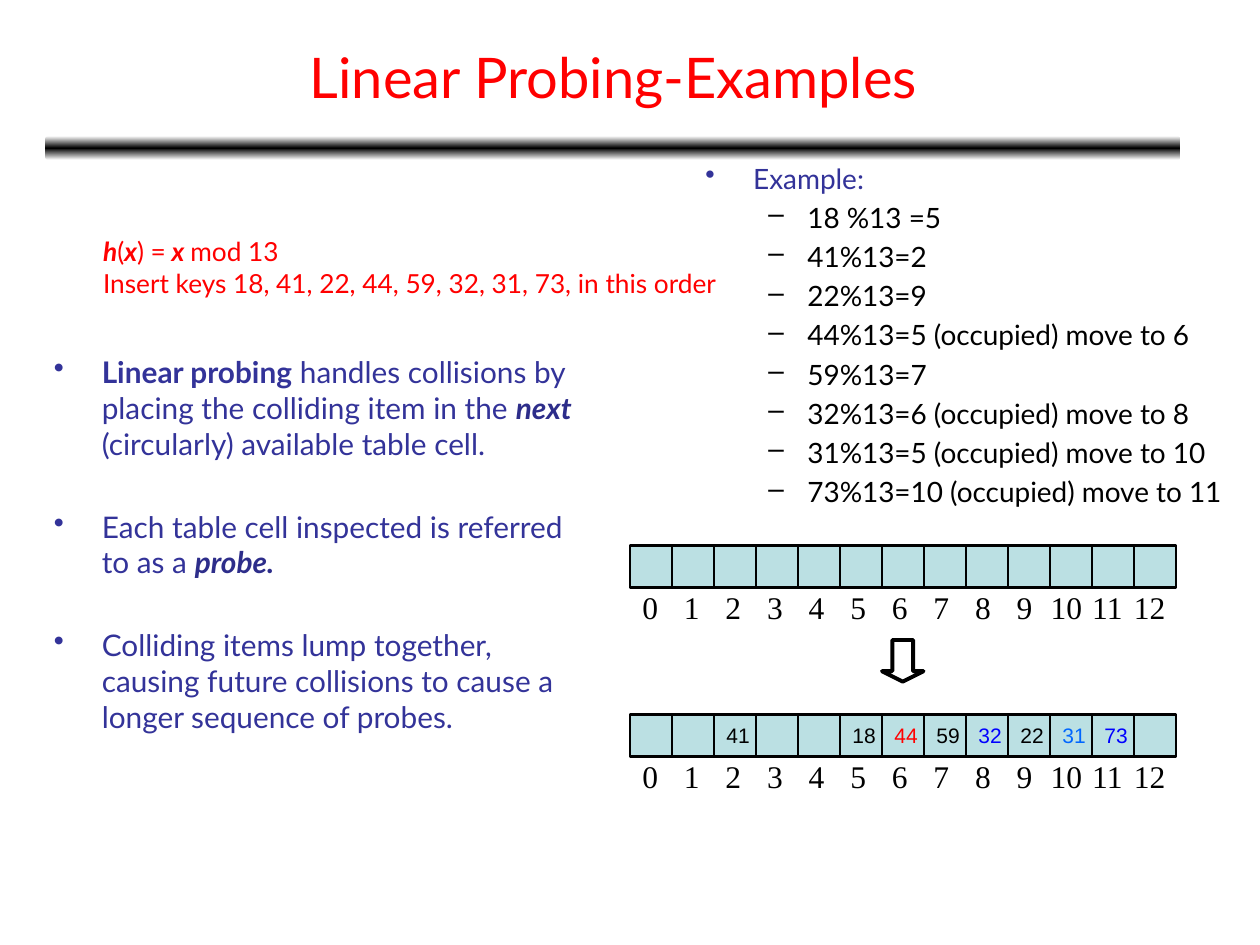
from copy import deepcopy

from lxml.etree import SubElement
from pptx import Presentation
from pptx.dml.color import RGBColor
from pptx.enum.shapes import MSO_SHAPE
from pptx.enum.text import MSO_ANCHOR, PP_ALIGN
from pptx.oxml.ns import qn
from pptx.util import Inches, Pt

RED, BLUE, DARK_BLUE, BLACK = "FF0000", "333399", "2D2D8A", "000000"
BOLD = {"bold": True}
BOLD_ITALIC = {"bold": True, "italic": True}
STRONG = {**BOLD_ITALIC, "color": DARK_BLUE}


def color_of(hex_string):
    return RGBColor.from_string(hex_string)


def add_span(para, text, font="Lato", size=16, color=BLACK, bold=False, italic=False):
    span = para.add_run()
    span.text = text
    span.font.name = font
    span.font.size = Pt(size)
    span.font.color.rgb = color_of(color)
    span.font.bold = bold
    span.font.italic = italic


def write(frame, text, first=True, align=PP_ALIGN.LEFT, before=0, level=0,
          margin=0, hanging=0, bullet=None, **style):
    """Write one paragraph; text is a string or a list of (text, style) spans."""
    para = frame.paragraphs[0] if first else frame.add_paragraph()
    para.alignment = align
    para.level = level
    para.space_before = Pt(before)
    properties = para._p.get_or_add_pPr()
    properties.set("marL", str(Inches(margin)))
    properties.set("indent", str(Inches(-hanging)))
    if bullet:
        SubElement(properties, qn("a:buChar")).set("char", bullet)
    spans = [(text, {})] if isinstance(text, str) else text
    for words, changes in spans:
        add_span(para, words, **{**style, **changes})


class ProbingSlide:
    cell_fill = "BBE0E3"
    cell_count = 13
    table_left = 5
    cell_size = 1 / 3
    label_step = 0.33

    def __init__(self, deck):
        self.page = deck.slides.add_slide(deck.slide_layouts[6])

    def text_box(self, left, top, width, height, wrap=True, anchor=MSO_ANCHOR.TOP):
        box = self.page.shapes.add_textbox(
            Inches(left), Inches(top), Inches(width), Inches(height))
        box.text_frame.word_wrap = wrap
        box.text_frame.vertical_anchor = anchor
        return box.text_frame

    def shape(self, kind, left, top, width, height, fill=None, line=None, weight=1.5):
        shape = self.page.shapes.add_shape(
            kind, Inches(left), Inches(top), Inches(width), Inches(height))
        shape.shadow.inherit = False
        if fill:
            shape.fill.solid()
            shape.fill.fore_color.rgb = color_of(fill)
        else:
            shape.fill.background()
        if line:
            shape.line.color.rgb = color_of(line)
            shape.line.width = Pt(weight)
        else:
            shape.line.fill.background()
        return shape

    def gradient_bar(self, left, top, width, height, colors):
        bar = self.shape(MSO_SHAPE.ROUNDED_RECTANGLE, left, top, width, height)
        bar.fill.gradient()
        bar.fill.gradient_angle = 90
        stop_list = bar.fill._fill._gradFill.gsLst
        stop_list.append(deepcopy(stop_list[-1]))
        for index, (stop, color) in enumerate(zip(bar.fill.gradient_stops, colors)):
            stop.position = index / (len(colors) - 1)
            stop.color.rgb = color_of(color)

    def hash_table(self, top, label_top, entries):
        for index in range(self.cell_count):
            cell = self.shape(
                MSO_SHAPE.RECTANGLE, self.table_left + index * self.cell_size, top,
                self.cell_size, self.cell_size, self.cell_fill, BLACK)
            if index in entries:
                key, color = entries[index]
                cell.text_frame.word_wrap = False
                cell.text_frame.vertical_anchor = MSO_ANCHOR.MIDDLE
                write(cell.text_frame, key, font="Arial", size=12, color=color)
        for index in range(self.cell_count):
            width = 0.33 if index < 10 else 0.45
            left = self.table_left + index * self.label_step + (0.33 - width) / 2
            frame = self.text_box(left, label_top, width, 0.4, wrap=False)
            write(frame, str(index), font="Times New Roman", size=18)


def main():
    deck = Presentation()
    deck.slide_width, deck.slide_height = Inches(10), Inches(7.5)
    slide = ProbingSlide(deck)

    # Title and rule
    slide.gradient_bar(0.36, 1.08, 9.01, 0.19, ["FFFFFF", BLACK, "FFFFFF"])
    title = slide.text_box(0.37, 0.11, 9, 0.99, anchor=MSO_ANCHOR.MIDDLE)
    write(title, "Linear Probing-Examples", align=PP_ALIGN.CENTER, size=32, color=RED)

    # Explanation
    points = [
        [("Linear probing", BOLD),
         (" handles collisions by placing the colliding item in the ", {}),
         ("next", STRONG), (" (circularly) available table cell.", {})],
        [("Each table cell inspected is referred to as a ", {}), ("probe.", STRONG)],
        "Colliding items lump together, causing future collisions to cause a "
        "longer sequence of probes.",
    ]
    body = slide.text_box(0.33, 2.76, 4.5, 3.3)
    for index, point in enumerate(points):
        write(body, point, first=index == 0, before=27 if index else 3.4,
              margin=0.38, hanging=0.38, bullet="•", size=17, color=BLUE)

    # Worked example
    steps = [
        "18 %13 =5", "41%13=2", "22%13=9", "44%13=5 (occupied) move to 6", "59%13=7",
        "32%13=6 (occupied) move to 8", "31%13=5 (occupied) move to 10",
        "73%13=10 (occupied) move to 11",
    ]
    example = slide.text_box(5.5, 1.23, 4.4, 3.11)
    write(example, "Example:", before=3.2, margin=0.38, hanging=0.38, bullet="•",
          color=BLUE)
    for step in steps:
        write(example, step, first=False, before=3.2, level=1, margin=0.81,
              hanging=0.31, bullet="–")

    # Hash table before and after the insertions
    slide.hash_table(4.33, 4.62, {})
    slide.hash_table(5.67, 5.96, {
        2: ("41", BLACK), 5: ("18", BLACK), 6: ("44", RED), 7: ("59", BLACK),
        8: ("32", "0000FF"), 9: ("22", BLACK), 10: ("31", "0066FF"),
        11: ("73", "0000FF"),
    })
    arrow = slide.shape(MSO_SHAPE.DOWN_ARROW, 7, 5.08, 0.33, 0.33, line=BLACK, weight=2.25)
    arrow.adjustments[0], arrow.adjustments[1] = 0.5, 0.25

    # Hash function and keys
    formula = slide.text_box(0.22, 1.82, 6.6, 0.61)
    function = [("h", BOLD_ITALIC), ("(", {}), ("x", BOLD_ITALIC), (") =", {}),
                (" x ", BOLD_ITALIC), ("mod 13", {})]
    keys = "Insert keys 18, 41, 22, 44, 59, 32, 31, 73, in this order"
    for index, line in enumerate([function, keys]):
        write(formula, line, first=index == 0, level=1, margin=0.5, size=15, color=RED)

    deck.save("out.pptx")


if __name__ == "__main__":
    main()
